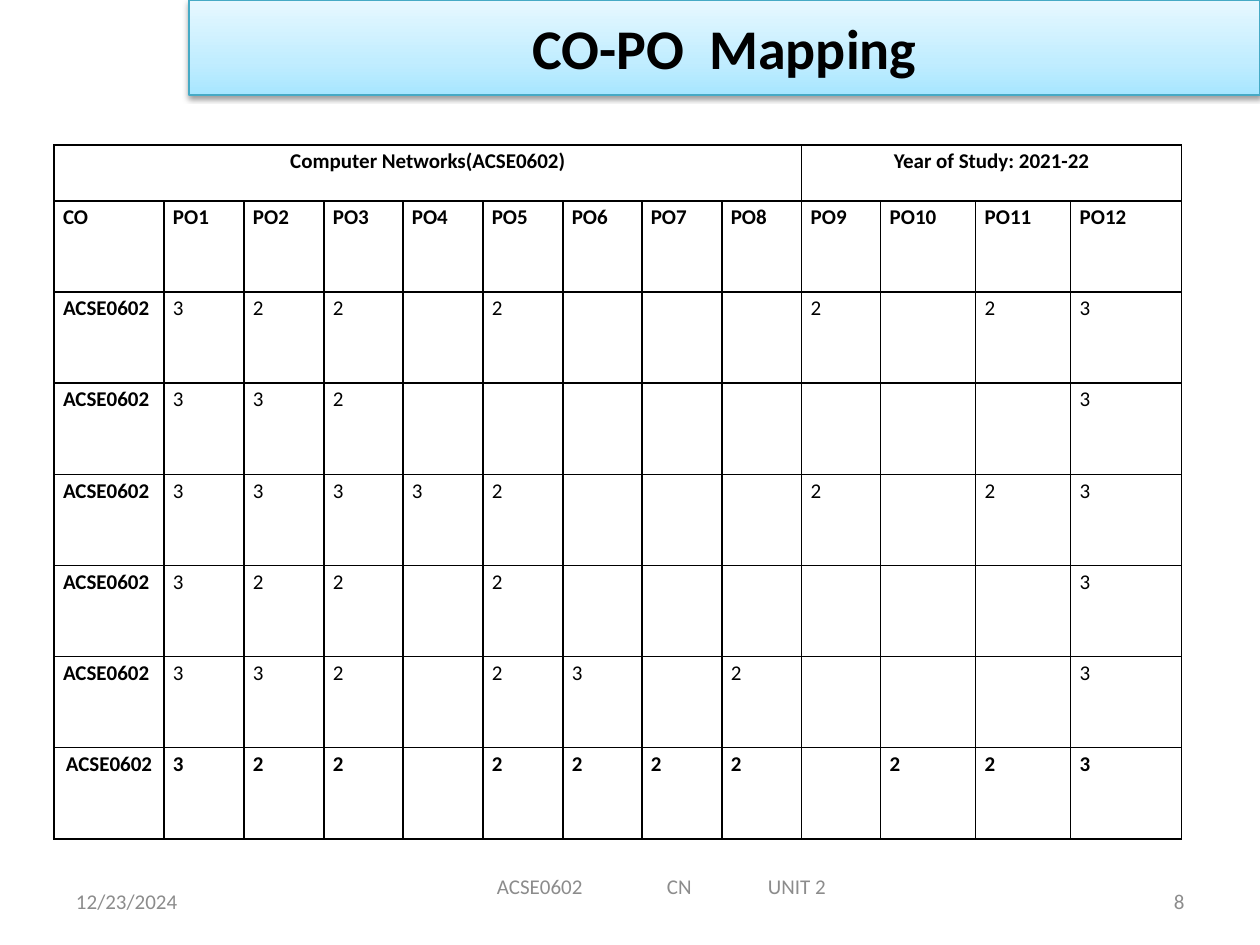
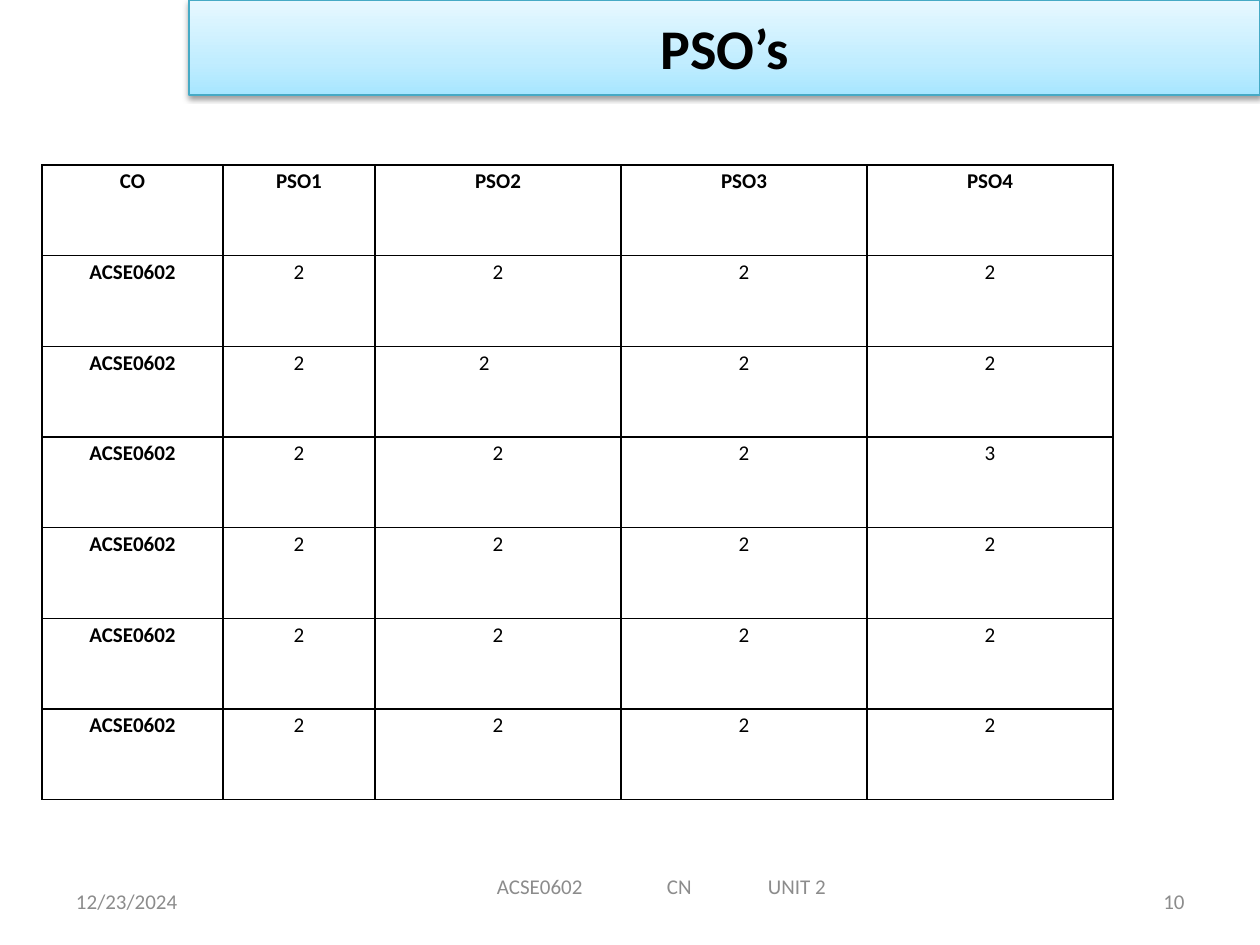
from lxml import etree
from pptx import Presentation
from pptx import util as u
from pptx.dml.color import RGBColor
from pptx.enum import shapes, text
from pptx.oxml.ns import qn

COURSE = "ACSE0602"
DATE = "12/23/2024"
FOOTER = f"{COURSE}\tCN\tUNIT 2"
FOOTER_TABS = (170, 271)

SLIDES = [
    {
        "title": "CO-PO  Mapping",
        "number": "8",
        "at": (54, 145),
        "widths": [110] + [80, 80, 79] * 3 + [95, 95, 111],
        "banner": [("Computer Networks(ACSE0602)", 0, 8),
                   ("Year of Study: 2021-22", 9, 12)],
        "banner_height": 56,
        "body_height": 638,
        "heads": ["CO"] + [f"PO{n}" for n in range(1, 13)],
        "levels": ["322-2---2-23", "332--------3", "33332---2-23",
                   "322-2------3", "332-23-2---3", "322-2222-223"],
        "bold_rows": {0, 1, 7},
        "all_centred": False,
        "centred": {(0, 0), (0, 9), (7, 0)},
        "indents": {},
    },
    {
        "title": "PSO’s",
        "number": "10",
        "at": (42, 165),
        "widths": [181, 152, 246, 246, 246],
        "banner": [],
        "banner_height": 0,
        "body_height": 635,
        "heads": ["CO"] + [f"PSO{n}" for n in range(1, 5)],
        "levels": ["2222", "2222", "2223", "2222", "2222", "2222"],
        "bold_rows": {0},
        "all_centred": True,
        "centred": set(),
        "indents": {(2, 2): 104},
    },
]

COLOURS = {"ink": "000000", "muted": "8C8C8C", "band_line": "46AAC5"}
BAND_STOPS = [(0, "A7E6FF"), (35, "C1EDFF"), (100, "E7F8FF")]
FONTS = {
    "title": {"name": "Calibri", "size": u.Pt(32), "bold": True},
    "footer": {"name": "Calibri", "size": u.Pt(12), "bold": False},
    "cell": {"name": "Calibri", "size": u.Pt(12)},
}
ALIGN = text.PP_ALIGN
MIDDLE = text.MSO_ANCHOR.MIDDLE


def px(n):
    return u.Emu(round(n * 914400 / 126))


def add(parent, tag, **attributes):
    return etree.SubElement(parent, qn(tag),
                            {key: str(value) for key, value in attributes.items()})


def style(paragraph, font, colour, align, **changes):
    paragraph.alignment = align
    for key, value in {**FONTS[font], **changes}.items():
        setattr(paragraph.font, key, value)
    paragraph.font.color.rgb = RGBColor.from_string(COLOURS[colour])


def title_band(slide, title):
    band = slide.shapes.add_shape(shapes.MSO_SHAPE.RECTANGLE,
                                  px(189), 0, px(1071), px(95))
    band.fill.gradient()
    band.fill.gradient_angle = 90
    band.line.color.rgb = RGBColor.from_string(COLOURS["band_line"])
    band.line.width = u.Pt(0.75)
    band.shadow.inherit = False

    properties = band.element.spPr
    stops = properties.find(".//" + qn("a:gsLst"))
    stops.clear()
    for position, colour in BAND_STOPS:
        add(add(stops, "a:gs", pos=position * 1000), "a:srgbClr", val=colour)
    shadow = add(properties.find(qn("a:effectLst")), "a:outerShdw",
                 blurRad=40000, dist=20000, dir=5400000, rotWithShape=0)
    add(add(shadow, "a:srgbClr", val=COLOURS["ink"]), "a:alpha", val=38000)

    band.text_frame.vertical_anchor = MIDDLE
    heading = band.text_frame.paragraphs[0]
    heading.text = title
    style(heading, "title", "ink", ALIGN.CENTER)


def footer(slide, words, left, top, width, align, inset=13, tabs=()):
    frame = slide.shapes.add_textbox(px(left), px(top), px(width), px(50)).text_frame
    frame.word_wrap = True
    frame.vertical_anchor = MIDDLE
    frame.margin_left = px(inset)
    line = frame.paragraphs[0]
    line.text = words
    if tabs:
        stops = add(line._p.get_or_add_pPr(), "a:tabLst")
        for tab in tabs:
            add(stops, "a:tab", pos=px(tab), algn="l")
    style(line, "footer", "muted", align)


def border(cell):
    cell.fill.background()
    properties = cell._tc.get_or_add_tcPr()
    for place, side in enumerate("LRTB"):
        edge = add(properties, f"a:ln{side}", w=u.Pt(1))
        add(add(edge, "a:solidFill"), "a:srgbClr", val=COLOURS["ink"])
        properties.insert(place, edge)


def mapping_table(slide, content):
    widths, heads = content["widths"], content["heads"]
    rows = [heads] + [[COURSE] + [level.strip("-") for level in levels]
                      for levels in content["levels"]]
    heights = [content["body_height"] / len(rows)] * len(rows)
    if content["banner"]:
        banner = [""] * len(heads)
        for words, first, last in content["banner"]:
            banner[first] = words
        rows.insert(0, banner)
        heights.insert(0, content["banner_height"])

    left, top = content["at"]
    table = slide.shapes.add_table(len(rows), len(widths), px(left), px(top),
                                   px(sum(widths)), px(sum(heights))).table
    table.first_row = table.horz_banding = False
    for column, width in zip(table.columns, widths):
        column.width = px(width)
    for row, height in zip(table.rows, heights):
        row.height = px(height)
    for words, first, last in content["banner"]:
        table.cell(0, first).merge(table.cell(0, last))

    for r, row in enumerate(rows):
        for c, words in enumerate(row):
            cell, key = table.cell(r, c), (r, c)
            border(cell)
            cell.margin_left = px(content["indents"].get(key, 9))
            cell.margin_right = px(9)
            cell.margin_top = cell.margin_bottom = 0
            entry = cell.text_frame.paragraphs[0]
            entry.text = words
            entry.line_spacing = 1.15
            entry.space_after = u.Pt(10)
            centred = key in content["centred"] or (
                content["all_centred"] and key not in content["indents"])
            style(entry, "cell", "ink", ALIGN.CENTER if centred else ALIGN.LEFT,
                  bold=c == 0 or r in content["bold_rows"])


def main():
    deck = Presentation()
    deck.slide_width, deck.slide_height = px(1260), px(945)
    for content in SLIDES:
        slide = deck.slides.add_slide(deck.slide_layouts[6])
        footer(slide, DATE, 63, 876, 294, ALIGN.LEFT)
        footer(slide, content["number"], 903, 876, 294, ALIGN.RIGHT)
        title_band(slide, content["title"])
        mapping_table(slide, content)
        footer(slide, FOOTER, 315, 861, 693, ALIGN.LEFT, 182, FOOTER_TABS)
    deck.save("out.pptx")


if __name__ == "__main__":
    main()
